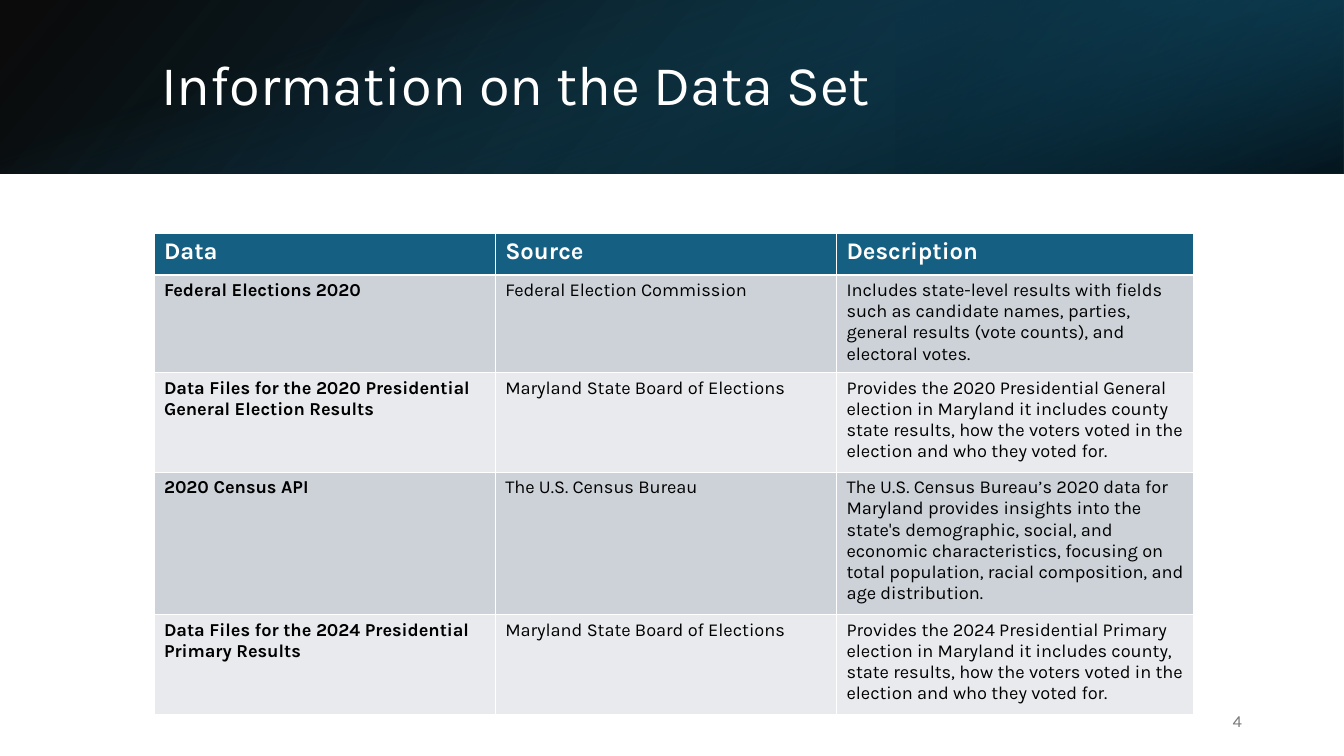
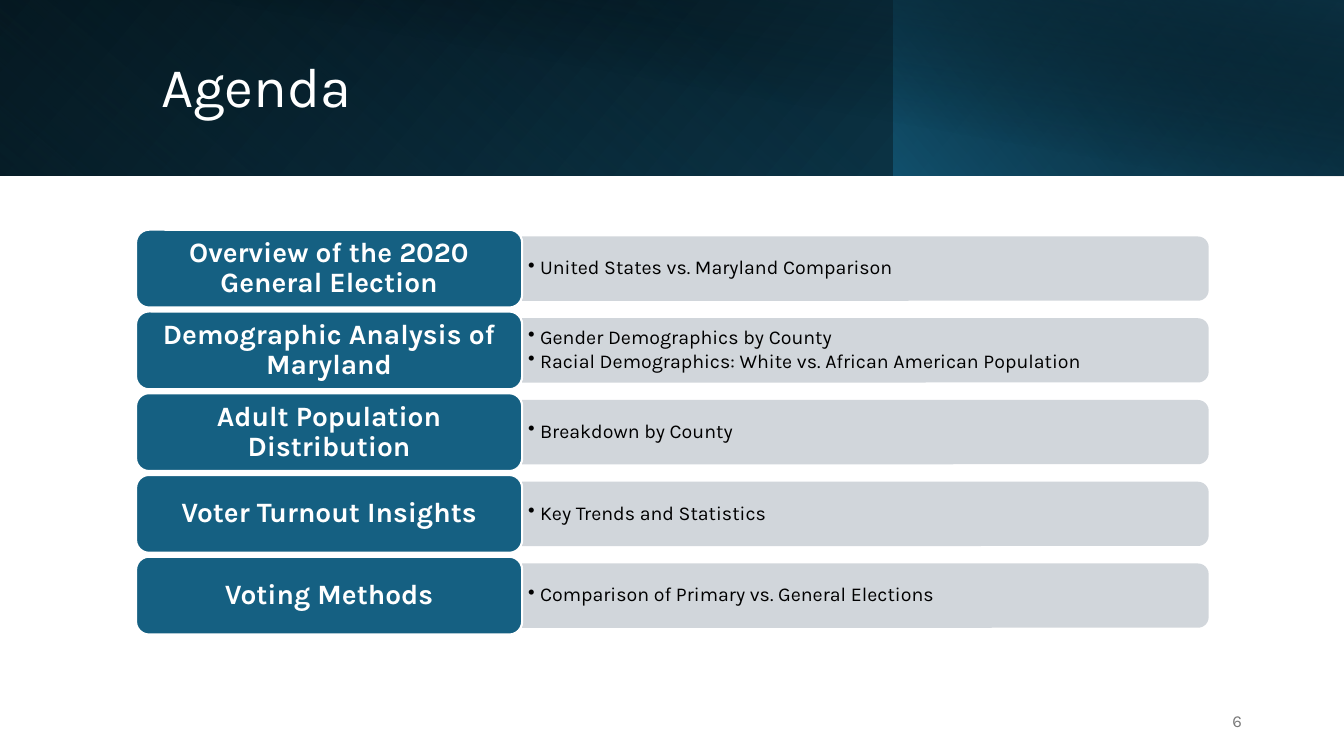
from lxml import etree
from pptx import Presentation
from pptx import util as u
from pptx.dml import color
from pptx.enum import shapes, text
from pptx.oxml import ns

COLORS = {
    "white": "FFFFFF", "black": "000000", "blue": "156082", "deep": "104862",
    "navy": "0B3041", "row_dark": "CCD2D8", "row_light": "E8EAED",
    "bar": "D1D6DB", "number": "797979",
}
FONT = "Karla"


def style(paragraph, size, name, bold=False):
    for run in paragraph.runs:
        run.font.name = FONT
        run.font.size = u.Pt(size)
        run.font.bold = bold
        run.font.color.rgb = color.RGBColor.from_string(COLORS[name])


def add_shape(slide, kind, left, top, width, height, fill=None):
    shape = slide.shapes.add_shape(kind, u.Cm(left), u.Cm(top), u.Cm(width), u.Cm(height))
    shape.shadow.inherit = False
    shape.line.fill.background()
    if fill:
        shape.fill.solid()
        shape.fill.fore_color.rgb = color.RGBColor.from_string(COLORS[fill])
    return shape


presentation = Presentation()
presentation.slide_width = u.Cm(33.87)
presentation.slide_height = u.Cm(19.05)

frames = [
    {
        "title": "Information on the Data Set", "number": "4", "box": (3.81, 0.97, 27.89, 2.44),
        "bands": [
            ((0, 0, 33.87, 4.37), 0, True, 140, [(0, "black", 96), (100, "deep", 100)]),
            ((22.58, 0, 11.29, 4.37), 180, True, 320, [(19, "navy", 68), (100, "blue", 79)]),
            ((14.75, -14.75, 4.37, 33.87), 90, False, 340, [(23, "blue", 0), (99, "black", 74)]),
        ],
    },
    {
        "title": "Agenda", "number": "6", "box": (3.81, 0.81, 27.48, 2.87),
        "bands": [
            ((0, 0, 33.87, 4.42), 0, True, 140, [(0, "black", 100), (100, "deep", 100)]),
            ((0, 0, 22.55, 4.42), 180, True, 230, [(20, "blue", 0), (100, "navy", 55)]),
            ((22.53, 0, 11.34, 4.42), 0, True, 220, [(0, "blue", 66), (100, "black", 30)]),
            ((1.27, 0, 32.6, 4.44), 0, False, 280, [(50, "black", 0), (99, "navy", 52)]),
        ],
    },
]

for frame in frames:
    slide = presentation.slides.add_slide(presentation.slide_layouts[5])
    for box, rotation, flipped, angle, stops in frame["bands"]:
        band = add_shape(slide, shapes.MSO_SHAPE.RECTANGLE, *box)
        band.rotation = rotation
        properties = band._element.spPr
        if flipped:
            properties.find(ns.qn("a:xfrm")).set("flipH", "1")
        gradient = etree.Element(ns.qn("a:gradFill"), rotWithShape="1")
        stop_list = etree.SubElement(gradient, ns.qn("a:gsLst"))
        for position, name, alpha in stops:
            stop = etree.SubElement(stop_list, ns.qn("a:gs"), pos=str(position * 1000))
            tint = etree.SubElement(stop, ns.qn("a:srgbClr"), val=COLORS[name])
            etree.SubElement(tint, ns.qn("a:alpha"), val=str(alpha * 1000))
        etree.SubElement(gradient, ns.qn("a:lin"), ang=str(angle * 60000), scaled="0")
        properties.find(ns.qn("a:prstGeom")).addnext(gradient)

    title = slide.shapes.title
    title.left, title.top, title.width, title.height = map(u.Cm, frame["box"])
    title.text_frame.text = frame["title"]
    title.text_frame.vertical_anchor = text.MSO_ANCHOR.MIDDLE
    paragraph = title.text_frame.paragraphs[0]
    paragraph.alignment = text.PP_ALIGN.LEFT
    paragraph.line_spacing = 0.9
    style(paragraph, 40, "white")
    slide.shapes._spTree.append(title._element)

    number = slide.shapes.add_textbox(u.Cm(23.93), u.Cm(17.65), u.Cm(7.62), u.Cm(1.02))
    number.text_frame.word_wrap = True
    number.text_frame.vertical_anchor = text.MSO_ANCHOR.MIDDLE
    number.text_frame.text = frame["number"]
    number.text_frame.paragraphs[0].alignment = text.PP_ALIGN.RIGHT
    style(number.text_frame.paragraphs[0], 12, "number")

data_slide, agenda_slide = presentation.slides

rows = [
    ("Data", "Source", "Description"),
    ("Federal Elections 2020", "Federal Election Commission",
     "Includes state-level results with fields such as candidate names, parties, "
     "general results (vote counts), and electoral votes."),
    ("Data Files for the 2020 Presidential General Election Results",
     "Maryland State Board of Elections",
     "Provides the 2020 Presidential General election in Maryland it includes county "
     "state results, how the voters voted in the election and who they voted for."),
    ("2020 Census API", "The U.S. Census Bureau",
     "The U.S. Census Bureau’s 2020 data for Maryland provides insights into the state's "
     "demographic, social, and economic characteristics, focusing on total population, "
     "racial composition, and age distribution."),
    ("Data Files for the 2024 Presidential Primary Results",
     "Maryland State Board of Elections",
     "Provides the 2024 Presidential Primary election in Maryland it includes county, "
     "state results, how the voters voted in the election and who they voted for."),
]
table = data_slide.shapes.add_table(
    len(rows), 3, u.Cm(3.88), u.Cm(5.87), u.Cm(26.2), u.Cm(11.66)).table
for column, width in zip(table.columns, (8.6, 8.6, 9)):
    column.width = u.Cm(width)
for row, height in zip(table.rows, (1.06, 1.98, 2.51, 3.59, 2.51)):
    row.height = u.Cm(height)
for i, values in enumerate(rows):
    fill = "blue" if i == 0 else ("row_light", "row_dark")[i % 2]
    for j, value in enumerate(values):
        cell = table.cell(i, j)
        cell.text_frame.text = value
        cell.fill.solid()
        cell.fill.fore_color.rgb = color.RGBColor.from_string(COLORS[fill])
        style(cell.text_frame.paragraphs[0], 13 if i else 17,
              "black" if i else "white", i == 0 or j == 0)

agenda = [
    ("Overview of the 2020 General Election", ["United States vs. Maryland Comparison"]),
    ("Demographic Analysis of Maryland",
     ["Gender Demographics by County",
      "Racial Demographics: White vs. African American Population"]),
    ("Adult Population Distribution", ["Breakdown by County"]),
    ("Voter Turnout Insights", ["Key Trends and Statistics"]),
    ("Voting Methods", ["Comparison of Primary vs. General Elections"]),
]
LABEL_LEFT, LABEL_WIDTH, LABEL_HEIGHT = 3.43, 9.73, 1.96
BAR_LEFT, BAR_LENGTH, BAR_HEIGHT = LABEL_LEFT + LABEL_WIDTH, 17.3, 1.62
FIRST_MIDDLE, PITCH = 6.77, 2.06

for i, (heading, points) in enumerate(agenda):
    middle = FIRST_MIDDLE + PITCH * i
    bar = add_shape(
        agenda_slide, shapes.MSO_SHAPE.ROUND_2_SAME_RECTANGLE,
        BAR_LEFT + (BAR_LENGTH - BAR_HEIGHT) / 2, middle - BAR_LENGTH / 2,
        BAR_HEIGHT, BAR_LENGTH, "bar")
    bar.rotation = 90

    details = agenda_slide.shapes.add_textbox(
        u.Cm(BAR_LEFT), u.Cm(middle - 0.71), u.Cm(17.22), u.Cm(1.42))
    body = details.text_frame
    body.word_wrap = True
    body.vertical_anchor = text.MSO_ANCHOR.MIDDLE
    body.margin_left = body.margin_right = u.Cm(0.15)
    body.margin_top = body.margin_bottom = u.Cm(0.08)
    body.text = "\n".join(points)
    for paragraph in body.paragraphs:
        paragraph.line_spacing = 0.9
        paragraph.space_after = u.Pt(2)
        settings = paragraph._p.get_or_add_pPr()
        settings.set("marL", str(u.Cm(0.3)))
        settings.set("indent", str(u.Cm(-0.3)))
        etree.SubElement(settings, ns.qn("a:buChar"), char="•")
        style(paragraph, 14, "black")

    label = add_shape(agenda_slide, shapes.MSO_SHAPE.ROUNDED_RECTANGLE, LABEL_LEFT,
                      middle - LABEL_HEIGHT / 2, LABEL_WIDTH, LABEL_HEIGHT, "blue")
    label.line.color.rgb = color.RGBColor.from_string(COLORS["white"])
    label.line.width = u.Pt(1.5)
    body = label.text_frame
    body.word_wrap = True
    body.vertical_anchor = text.MSO_ANCHOR.MIDDLE
    body.margin_left = body.margin_right = u.Cm(0.3)
    body.margin_top = body.margin_bottom = u.Cm(0.1)
    body.text = heading
    body.paragraphs[0].alignment = text.PP_ALIGN.CENTER
    body.paragraphs[0].line_spacing = 0.9
    style(body.paragraphs[0], 20, "white", True)

presentation.save("out.pptx")
